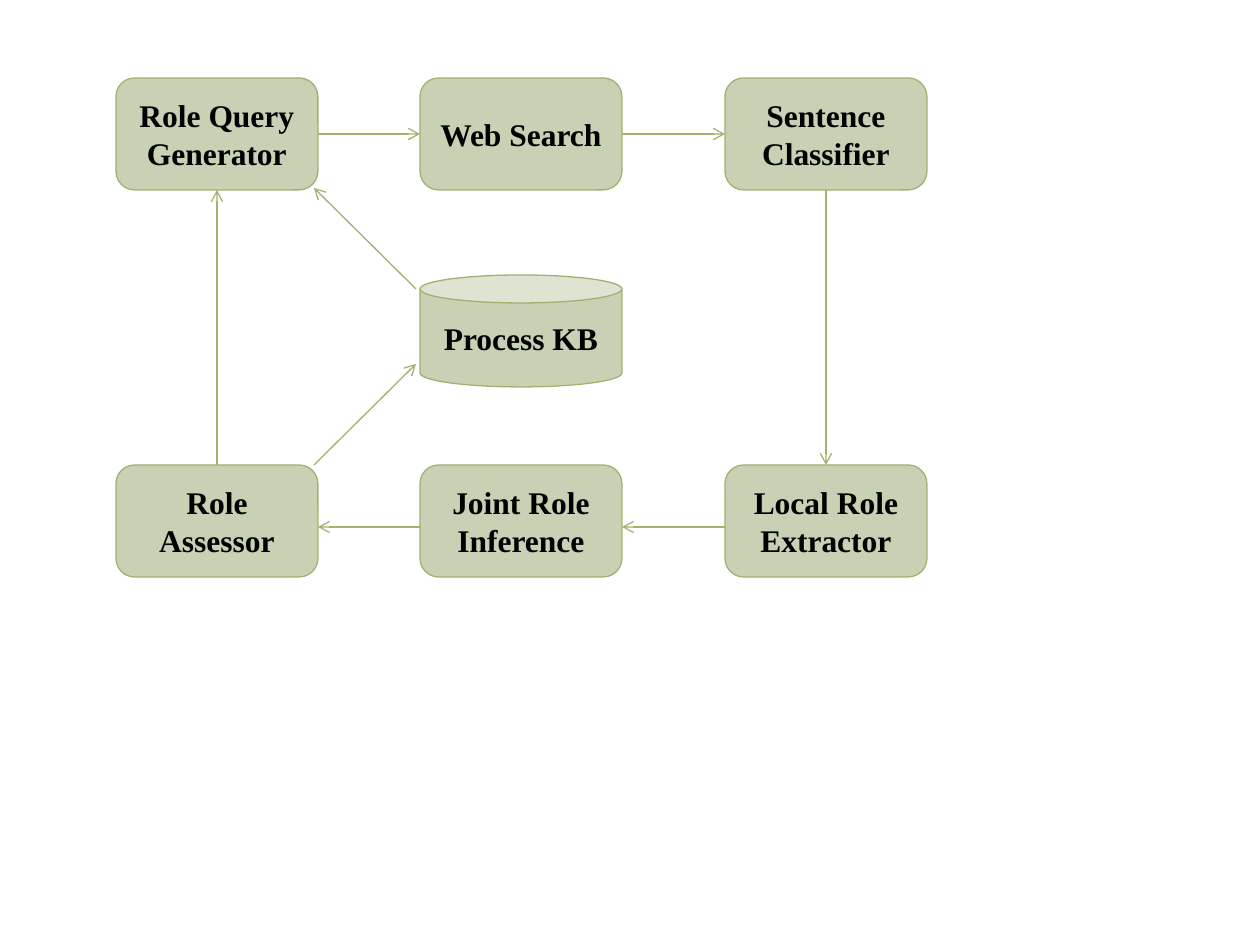
from dataclasses import dataclass

from lxml.etree import SubElement
from pptx import Presentation
from pptx.dml.color import RGBColor
from pptx.enum.shapes import MSO_CONNECTOR, MSO_SHAPE
from pptx.enum.text import MSO_ANCHOR, PP_ALIGN
from pptx.oxml.ns import qn
from pptx.slide import Slide
from pptx.util import Emu, Pt

PX_PER_INCH = 126
FILL, OUTLINE, INK = "C9D1B4", "A2B170", "000000"

# Grid of the process steps, in px
LEFT, CENTER, RIGHT = 116, 420, 725
TOP, MIDDLE, BOTTOM = 78, 275, 465
STEP_WIDTH, STEP_HEIGHT = 202, 112


@dataclass(frozen=True)
class Step:
    lines: tuple[str, ...]
    left: int
    top: int
    kind: MSO_SHAPE = MSO_SHAPE.ROUNDED_RECTANGLE


@dataclass(frozen=True)
class Flow:
    start: tuple[int, int]
    end: tuple[int, int]


def px(length: int) -> Emu:
    return Emu(round(length * 914400 / PX_PER_INCH))


def color(value: str) -> RGBColor:
    return RGBColor.from_string(value)


def draw_step(slide: Slide, step: Step) -> None:
    box = slide.shapes.add_shape(
        step.kind, px(step.left), px(step.top), px(STEP_WIDTH), px(STEP_HEIGHT))
    box.shadow.inherit = False
    box.fill.solid()
    box.fill.fore_color.rgb = color(FILL)
    box.line.color.rgb = color(OUTLINE)
    box.line.width = Pt(0.75)

    frame = box.text_frame
    frame.word_wrap = True
    frame.vertical_anchor = MSO_ANCHOR.MIDDLE
    for index, line in enumerate(step.lines):
        paragraph = frame.add_paragraph() if index else frame.paragraphs[0]
        paragraph.alignment = PP_ALIGN.CENTER
        run = paragraph.add_run()
        run.text = line
        run.font.name = "Times New Roman"
        run.font.size = Pt(18)
        run.font.bold = True
        run.font.color.rgb = color(INK)


def draw_flow(slide: Slide, flow: Flow) -> None:
    arrow = slide.shapes.add_connector(
        MSO_CONNECTOR.STRAIGHT, *map(px, flow.start + flow.end))
    arrow.line.color.rgb = color(OUTLINE)
    arrow.line.width = Pt(0.75)
    SubElement(arrow.line._get_or_add_ln(), qn("a:tailEnd"), type="arrow")
    SubElement(arrow._element.spPr, qn("a:effectLst"))


STEPS = (
    Step(("Role Query Generator",), LEFT, TOP),
    Step(("Web Search",), CENTER, TOP),
    Step(("Sentence Classifier",), RIGHT, TOP),
    Step(("Local Role", "Extractor"), RIGHT, BOTTOM),
    Step(("Joint Role", "Inference"), CENTER, BOTTOM),
    Step(("Role", "Assessor"), LEFT, BOTTOM),
    Step(("Process KB",), CENTER, MIDDLE, MSO_SHAPE.CAN),
)

TOP_FLOW, BOTTOM_FLOW = 134, 527
TOP_EDGE = TOP + STEP_HEIGHT
LEFT_AXIS, RIGHT_AXIS = LEFT + STEP_WIDTH // 2, RIGHT + STEP_WIDTH // 2
ROLE_CORNER, STORE_SIDE = 314, 416

FLOWS = (
    # Around the loop
    Flow((LEFT + STEP_WIDTH, TOP_FLOW), (CENTER, TOP_FLOW)),
    Flow((CENTER + STEP_WIDTH, TOP_FLOW), (RIGHT, TOP_FLOW)),
    Flow((RIGHT_AXIS, TOP_EDGE), (RIGHT_AXIS, BOTTOM)),
    Flow((RIGHT, BOTTOM_FLOW), (CENTER + STEP_WIDTH, BOTTOM_FLOW)),
    Flow((CENTER, BOTTOM_FLOW), (LEFT + STEP_WIDTH, BOTTOM_FLOW)),
    Flow((LEFT_AXIS, BOTTOM), (LEFT_AXIS, TOP_EDGE)),
    # Into and out of the knowledge base
    Flow((ROLE_CORNER, BOTTOM), (STORE_SIDE, 364)),
    Flow((STORE_SIDE, 289), (ROLE_CORNER, 188)),
)


def main() -> None:
    deck = Presentation()
    deck.slide_width, deck.slide_height = px(1260), px(945)
    slide = deck.slides.add_slide(deck.slide_layouts[6])
    for step in STEPS:
        draw_step(slide, step)
    for flow in FLOWS:
        draw_flow(slide, flow)
    deck.save("out.pptx")


if __name__ == "__main__":
    main()
